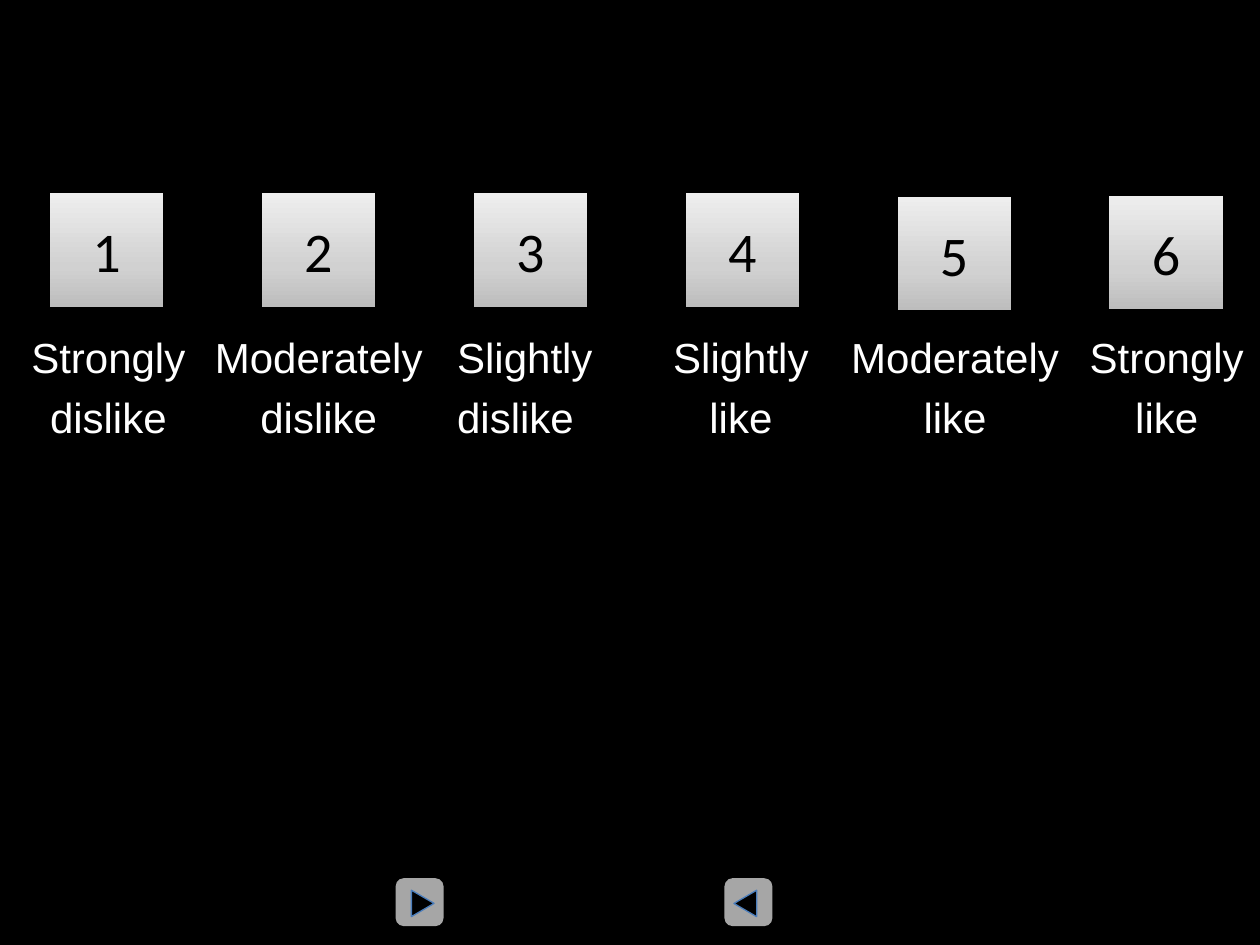
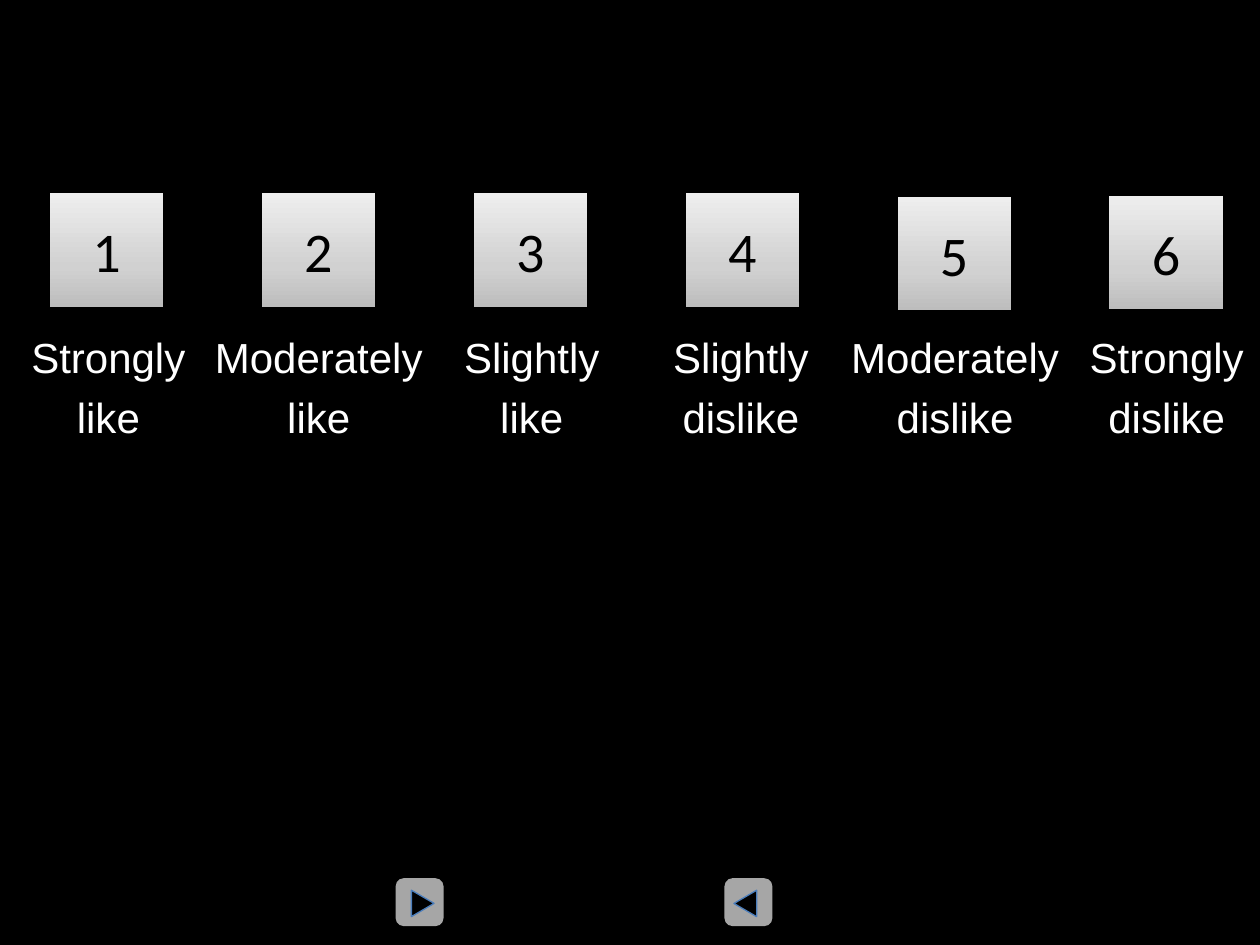
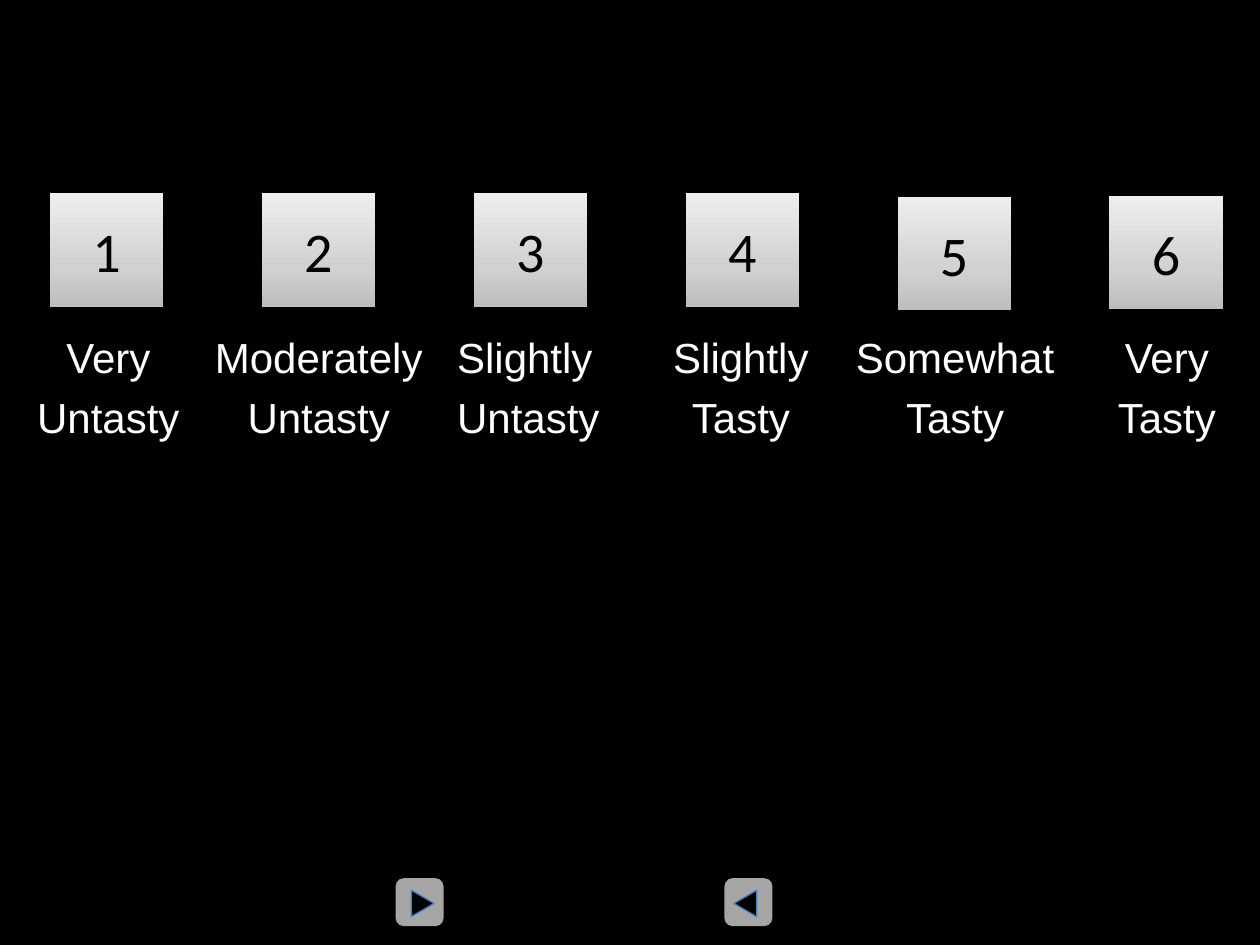
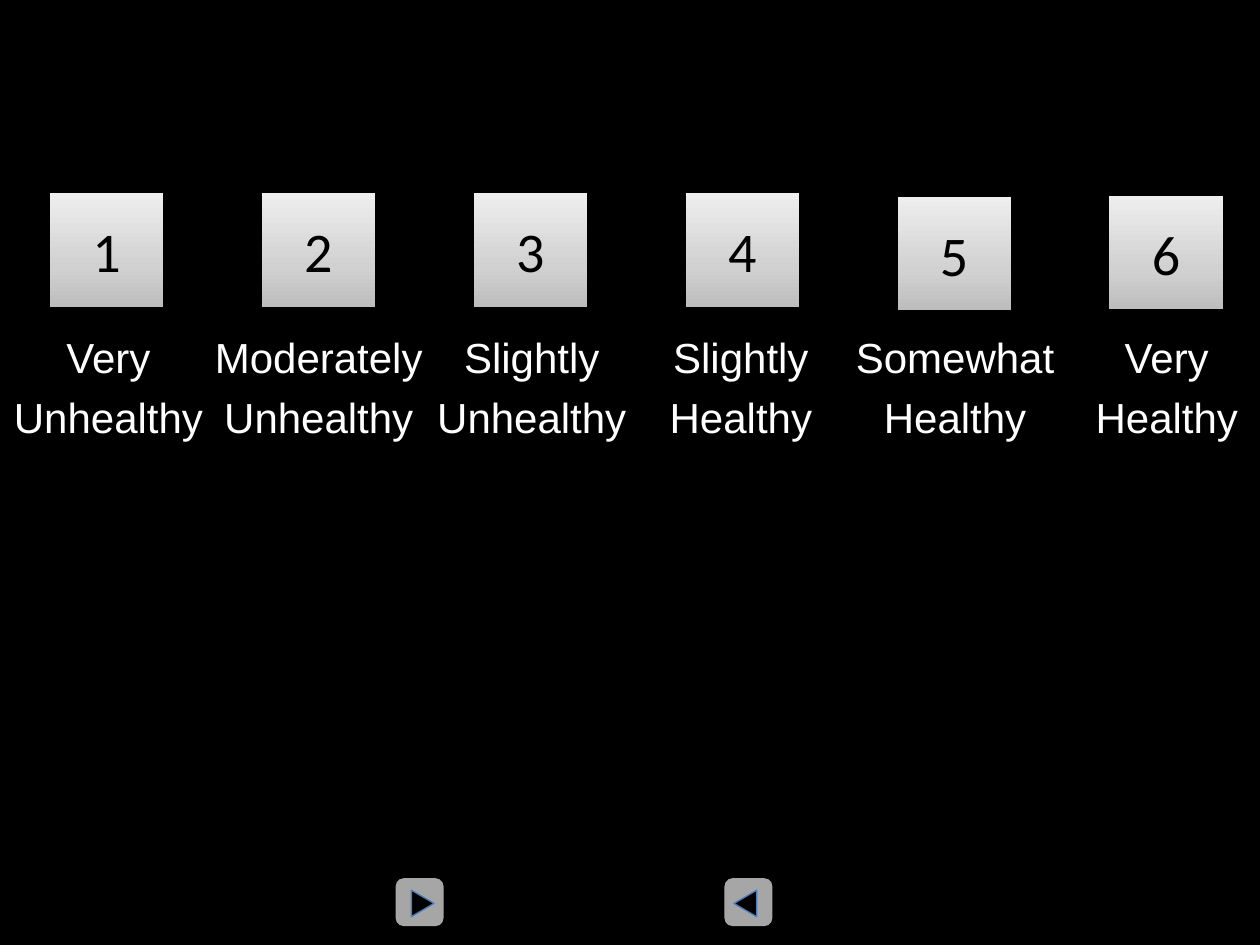
from copy import deepcopy

from pptx import Presentation
from pptx.dml.color import RGBColor
from pptx.enum import shapes, text
from pptx.util import Inches, Pt

BLACK = RGBColor(0x00, 0x00, 0x00)
WHITE = RGBColor(0xFF, 0xFF, 0xFF)
GREY = RGBColor(0xA6, 0xA6, 0xA6)
BLUE = RGBColor(0x4B, 0x7E, 0xBC)
KEY_STOPS = [
    (0, RGBColor(0xBD, 0xBD, 0xBD)),
    (0.35, RGBColor(0xD1, 0xD1, 0xD1)),
    (1, RGBColor(0xEE, 0xEE, 0xEE)),
]

FIRST_KEY, LAST_KEY, KEY_SIZE = 0.39, 8.8, 0.91
KEY_TOPS = [1.53, 1.53, 1.53, 1.53, 1.56, 1.55]
LABEL_CENTERS = [0.86, 2.53, 4.22, 5.88, 7.58, 9.26]
LABEL_TOP, LABEL_HEIGHT, LEFT_LABEL = 2.5, 1.06, 3.53
WORD_WIDTHS = {
    "Strongly": 1.44, "Moderately": 1.87, "Slightly": 1.29,
    "Somewhat": 1.8, "Very": 0.99, "like": 0.8, "dislike": 1.13,
    "Tasty": 0.99, "Untasty": 1.34, "Healthy": 1.34, "Unhealthy": 1.72,
}

LIKING = ["Strongly", "Moderately", "Slightly", "Slightly", "Moderately", "Strongly"]
RATING = ["Very", "Moderately", "Slightly", "Slightly", "Somewhat", "Very"]
SCALES = [
    (LIKING, "dislike", "like", True),
    (LIKING, "like", "dislike", False),
    (RATING, "Untasty", "Tasty", True),
    (RATING, "Unhealthy", "Healthy", False),
]


class Deck:
    def __init__(self):
        self.prs = Presentation()
        self.prs.slide_width = Inches(10)
        self.prs.slide_height = Inches(7.5)
        fill = self.prs.slide_master.background.fill
        fill.solid()
        fill.fore_color.rgb = BLACK
        self.slide = None

    def new_slide(self):
        self.slide = self.prs.slides.add_slide(self.prs.slide_layouts[6])
        self.arrow_button(3.14, 0.11, 90)
        self.arrow_button(5.75, 0.06, 270)

    def shape(self, parent, kind, x, y, w, h, fill=None, line=None):
        sp = parent.add_shape(kind, Inches(x), Inches(y), Inches(w), Inches(h))
        sp.shadow.inherit = False
        if fill is not None:
            sp.fill.solid()
            sp.fill.fore_color.rgb = fill
        if line is None:
            sp.line.fill.background()
        else:
            sp.line.color.rgb = line
            sp.line.width = Pt(0.75)
        return sp

    def arrow_button(self, x, inset, rotation):
        group = self.slide.shapes.add_group_shape().shapes
        kinds = shapes.MSO_SHAPE
        self.shape(group, kinds.ROUNDED_RECTANGLE, x, 6.97, 0.38, 0.38, GREY)
        arrow = self.shape(group, kinds.ISOSCELES_TRIANGLE, x + inset, 7.08,
                           0.21, 0.18, BLACK, BLUE)
        arrow.rotation = rotation

    def key(self, number, x, y):
        sp = self.shape(self.slide.shapes, shapes.MSO_SHAPE.RECTANGLE,
                        x, y, KEY_SIZE, KEY_SIZE, line=BLACK)
        sp.fill.gradient()
        sp.fill.gradient_angle = 90
        stop_list = sp.element.spPr.gradFill.gsLst
        stop_list.append(deepcopy(stop_list[-1]))
        for stop, (position, color) in zip(sp.fill.gradient_stops, KEY_STOPS):
            stop.position = position
            stop.color.rgb = color
        tf = sp.text_frame
        tf.vertical_anchor = text.MSO_ANCHOR.MIDDLE
        self.paragraph(tf.paragraphs[0], str(number), "Calibri", 32, BLACK)

    def label(self, words, center, left=None):
        w = max(WORD_WIDTHS[word] for word in words)
        x = center - w / 2 if left is None else left
        sp = self.slide.shapes.add_textbox(
            Inches(x), Inches(LABEL_TOP), Inches(w), Inches(LABEL_HEIGHT))
        tf = sp.text_frame
        tf.word_wrap = False
        tf.auto_size = text.MSO_AUTO_SIZE.SHAPE_TO_FIT_TEXT
        align = text.PP_ALIGN.CENTER if left is None else text.PP_ALIGN.LEFT
        for i, word in enumerate(words):
            p = tf.add_paragraph() if i else tf.paragraphs[0]
            self.paragraph(p, word, "Arial", 24, WHITE, align)
            p.line_spacing = 1.2

    def paragraph(self, p, content, font, size, color, align=text.PP_ALIGN.CENTER):
        p.text = content
        p.alignment = align
        p.font.name = font
        p.font.size = Pt(size)
        p.font.color.rgb = color

    def scale(self, degrees, low, high, third_left):
        self.new_slide()
        step = (LAST_KEY - FIRST_KEY) / (len(degrees) - 1)
        for i, degree in enumerate(degrees):
            self.key(i + 1, FIRST_KEY + i * step, KEY_TOPS[i])
            quality = low if i < len(degrees) / 2 else high
            left = LEFT_LABEL if third_left and i == 2 else None
            self.label([degree, quality], LABEL_CENTERS[i], left)


def main():
    deck = Deck()
    for scale in SCALES:
        deck.scale(*scale)
    deck.prs.save("out.pptx")


if __name__ == "__main__":
    main()
